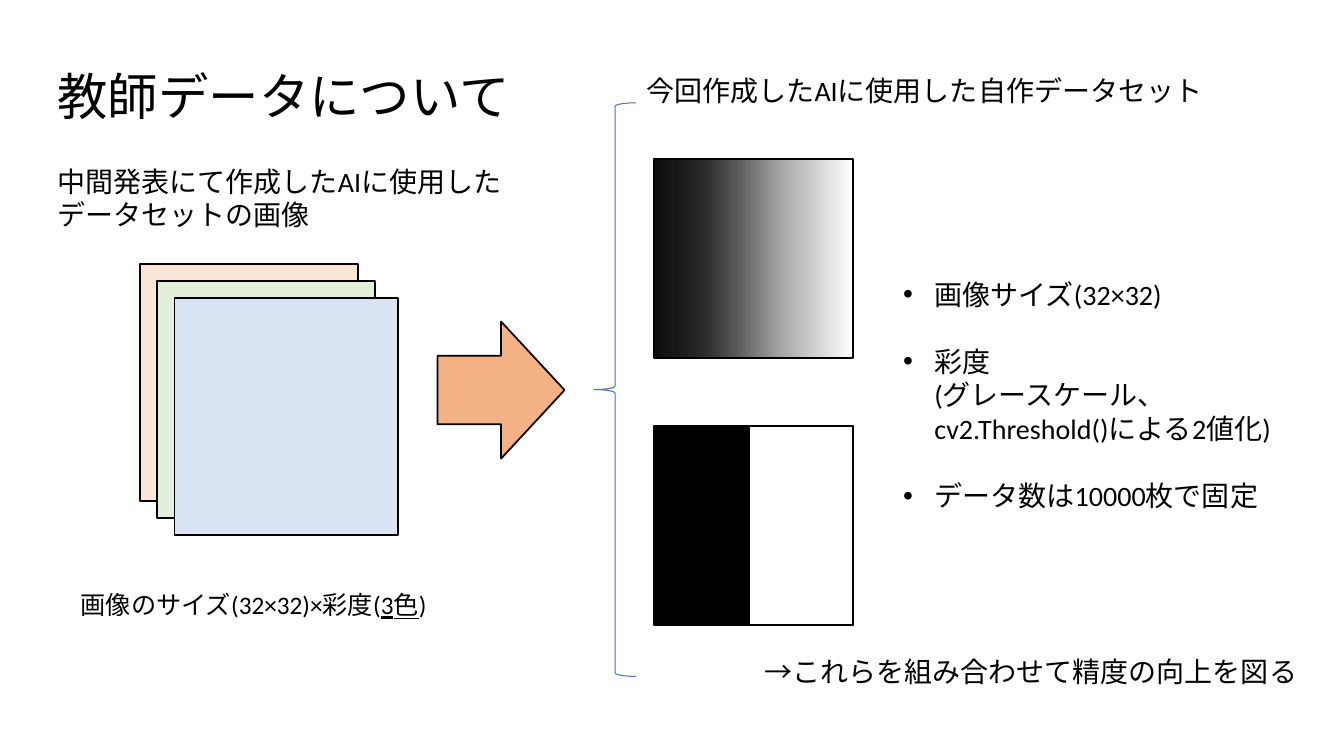
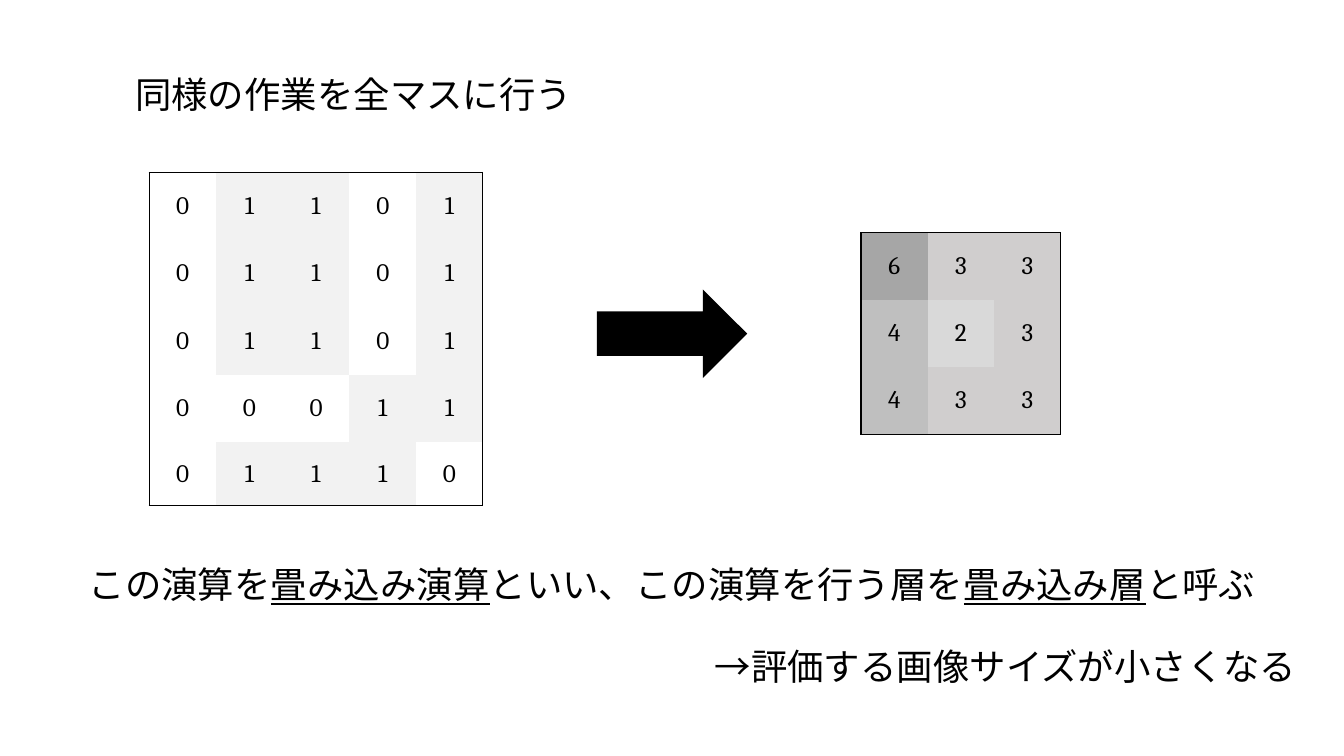
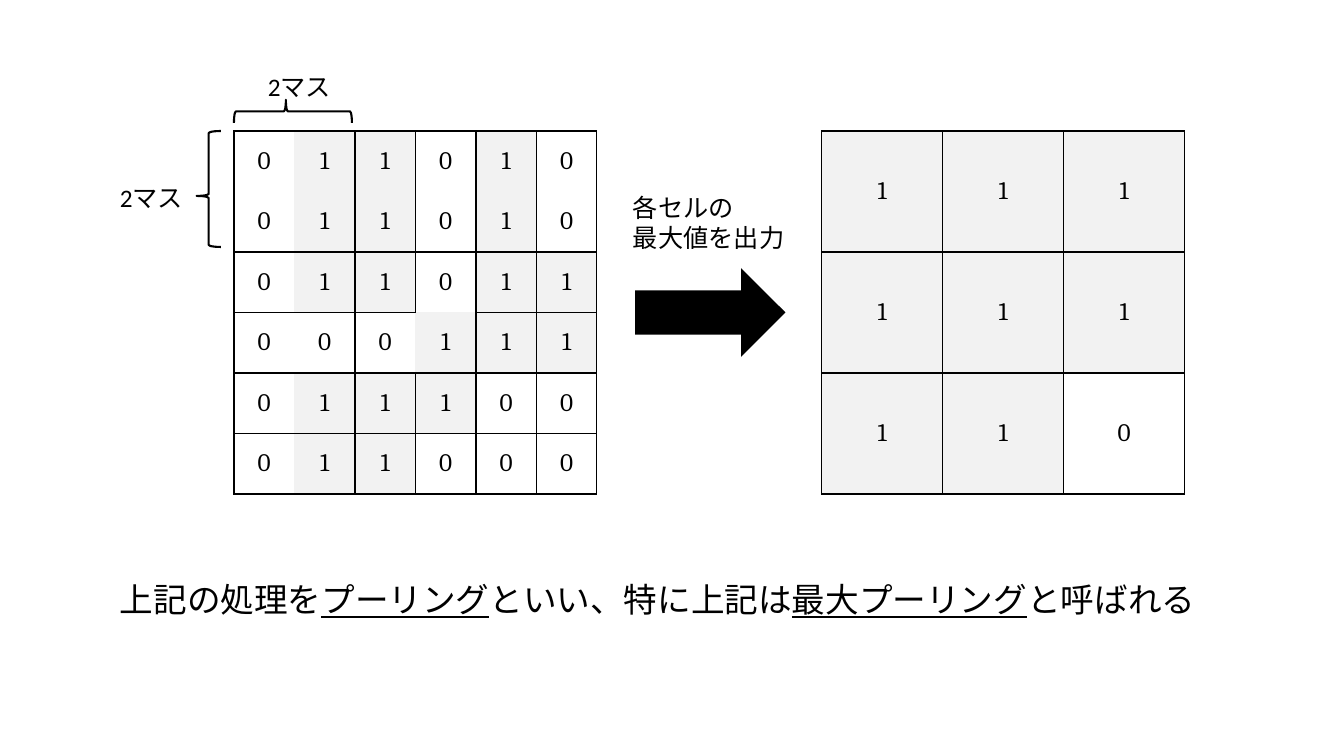
from lxml import etree
from pptx import Presentation
from pptx.dml.color import RGBColor as RGB
from pptx.enum.lang import MSO_LANGUAGE_ID as Lang
from pptx.enum.shapes import MSO_SHAPE as Form
from pptx.enum.text import MSO_ANCHOR as Anchor, MSO_AUTO_SIZE as Fit, PP_ALIGN as Align
from pptx.oxml.ns import qn
from pptx.util import Inches, Pt

BLACK = RGB(0x00, 0x00, 0x00)
WHITE = RGB(0xFF, 0xFF, 0xFF)
PALE = RGB(0xF2, 0xF2, 0xF2)
PEACH = RGB(0xFB, 0xE5, 0xD6)
GREEN = RGB(0xE2, 0xF0, 0xD9)
SKY = RGB(0xDA, 0xE3, 0xF3)
ORANGE = RGB(0xF4, 0xB1, 0x83)
BLUE = RGB(0x44, 0x72, 0xC4)

# Cell shade by value
BITS = {"0": WHITE, "1": PALE}
SUMS = {"2": RGB(0xD9, 0xD9, 0xD9), "3": RGB(0xD0, 0xCE, 0xCE),
        "4": RGB(0xBF, 0xBF, 0xBF), "6": RGB(0xA6, 0xA6, 0xA6)}
# Gradient stops: percent and grey level
FADE = [(0, "FF"), (35, "AA"), (60, "55"), (75, "2B"), (90, "16"), (100, "0D")]


class Deck:
    """Holds the shared style and the current slide."""

    def __init__(self):
        self.prs = Presentation()
        self.prs.slide_width = Inches(13.33)
        self.prs.slide_height = Inches(7.5)
        self.page = None

    def new(self, title=None, at=None, size=None):
        """Start a slide, with a title where one is given."""
        layout = self.prs.slide_layouts[5 if title else 6]
        self.page = self.prs.slides.add_slide(layout)
        if title:
            head = self.page.shapes.title
            self.place(head, at)
            self.words(head.text_frame, [title], size)

    def place(self, item, at):
        for name, val in zip(("left", "top", "width", "height"), at):
            setattr(item, name, Inches(val))

    def style(self, font, size, face="Calibri", under=False):
        form = {"name": face, "size": Pt(size), "bold": False,
                "underline": under, "language_id": Lang.JAPANESE}
        for name, val in form.items():
            setattr(font, name, val)
        font.color.rgb = BLACK

    def words(self, frame, lines, size, align=Align.LEFT, bullet=False):
        """Fill a frame; text between underscores is underlined."""
        frame.word_wrap = True
        frame.auto_size = Fit.NONE
        frame.vertical_anchor = Anchor.TOP
        for i, line in enumerate(lines):
            para = frame.add_paragraph() if i else frame.paragraphs[0]
            para.alignment = align
            if bullet:
                para.space_before = Pt(24 if i else 0)
                props = para._p.get_or_add_pPr()
                props.set("marL", str(Inches(0.31)))
                props.set("indent", str(-Inches(0.31)))
                etree.SubElement(props, qn("a:buFont")).set("typeface", "Arial")
                etree.SubElement(props, qn("a:buChar")).set("char", "•")
            for k, part in enumerate(line.split("_")):
                for j, bit in enumerate(part.split("\n")):
                    if j:
                        para.add_line_break()
                    run = para.add_run()
                    run.text = bit
                    self.style(run.font, size, under=k % 2 == 1)

    def text(self, at, lines, size, **kw):
        box = self.page.shapes.add_textbox(*map(Inches, at))
        self.words(box.text_frame, lines, size, **kw)

    def shape(self, form, at, fill=None, line=BLACK, width=1.25):
        item = self.page.shapes.add_shape(form, *map(Inches, at))
        item.shadow.inherit = False
        if fill is None:
            item.fill.background()
        else:
            item.fill.solid()
            item.fill.fore_color.rgb = fill
        if line is None:
            item.line.fill.background()
        else:
            item.line.color.rgb = line
            item.line.width = Pt(width)
        return item

    def fade(self, item, stops):
        """Grey gradient running from right to left."""
        item.fill.gradient()
        item.fill.gradient_angle = 180
        group = item._element.spPr.find(".//" + qn("a:gsLst"))
        for old in list(group):
            group.remove(old)
        for pos, grey in stops:
            stop = etree.SubElement(group, qn("a:gs"))
            stop.set("pos", str(pos * 1000))
            etree.SubElement(stop, qn("a:srgbClr")).set("val", grey * 3)

    def edge(self, cell, side, shown):
        line = etree.SubElement(cell._tc.get_or_add_tcPr(), qn("a:ln" + side))
        line.set("w", str(Pt(1) if shown else 0))
        fill = etree.SubElement(line, qn("a:solidFill" if shown else "a:noFill"))
        if shown:
            etree.SubElement(fill, qn("a:srgbClr")).set("val", str(BLACK))

    def grid(self, at, rows, shades, inner):
        """Square table; inner(kind, row, col) tells if an inside line shows."""
        n = len(rows)
        table = self.page.shapes.add_table(n, n, *map(Inches, at)).table
        table.first_row = table.horz_banding = False
        for r, row in enumerate(rows):
            for c, val in enumerate(row):
                cell = table.cell(r, c)
                sides = {"L": ("v", r, c), "R": ("v", r, c + 1),
                         "T": ("h", r, c), "B": ("h", r + 1, c)}
                for side, (kind, y, x) in sides.items():
                    outer = (x if kind == "v" else y) in (0, n)
                    self.edge(cell, side, outer or inner(kind, y, x))
                cell.fill.solid()
                cell.fill.fore_color.rgb = shades[val]
                cell.vertical_anchor = Anchor.MIDDLE
                para = cell.text_frame.paragraphs[0]
                para.alignment = Align.CENTER
                run = para.add_run()
                run.text = val
                self.style(run.font, 18, "Cambria")
        return table


def data(deck):
    """Training data."""
    deck.new("教師データについて", (0.47, 0.6, 5.14, 0.71), 36)

    # Colour layers on the left
    for i, (fill, wide) in enumerate([(PEACH, 2.16), (GREEN, 2.16), (SKY, 2.22)]):
        step = 0.17 * i
        deck.shape(Form.RECTANGLE, (1.39 + step, 2.62 + step, wide, 2.35), fill)
    deck.text((0.47, 1.58, 4.69, 0.77),
              ["中間発表にて作成したAIに使用したデータセットの画像"], 20)
    deck.text((0.17, 5.8, 4.69, 0.4), ["画像のサイズ(32×32)×彩度(_3色_)"], 18,
              align=Align.CENTER)
    deck.shape(Form.RIGHT_ARROW, (4.34, 3.19, 1.26, 1.36), ORANGE)

    # Grey and two-level samples
    sample = deck.shape(Form.RECTANGLE, (6.49, 1.58, 1.97, 1.97), WHITE)
    deck.fade(sample, FADE)
    halves = [deck.shape(Form.RECTANGLE, (x, 4.23, wide, 1.97), fill)
              for x, wide, fill in [(6.49, 1.97, BLACK), (7.43, 1.03, WHITE)]]
    deck.page.shapes.add_group_shape(halves)
    deck.shape(Form.LEFT_BRACE, (5.89, 1.02, 0.42, 5.69), line=BLUE, width=0.75)

    # Notes on the new set
    deck.text((6.31, 0.68, 6.65, 0.44), ["今回作成したAIに使用した自作データセット"], 20)
    deck.text((8.86, 2.7, 4.47, 3.1),
              ["画像サイズ(32×32)",
               "彩度\n(グレースケール、\ncv2.Threshold()による2値化)",
               "データ数は10000枚で固定"], 20, bullet=True)
    deck.text((7.48, 6.44, 5.85, 0.44), ["→これらを組み合わせて精度の向上を図る"], 20)


def fold(deck):
    """Convolution."""
    deck.new("同様の作業を全マスに行う", (1.24, 0.67, 5, 0.54), 26)

    def plain(*spot):
        return False

    table = deck.grid((1.48, 1.71, 3.31, 3.31),
                      ["01101", "01101", "01101", "00011", "01110"], BITS, plain)
    for r, row in enumerate(table.rows):
        row.height = Inches(0.67 if r < 4 else 0.63)
    deck.shape(Form.RIGHT_ARROW, (5.92, 2.87, 1.49, 0.88), BLACK, None)
    deck.grid((8.54, 2.31, 1.98, 2), ["633", "423", "433"], SUMS, plain)

    deck.text((0.52, 5.53, 12.29, 0.54),
              ["この演算を_畳み込み演算_といい、この演算を行う層を_畳み込み層_と呼ぶ"],
              26, align=Align.CENTER)
    deck.text((6.99, 6.34, 6.34, 0.54), ["→評価する画像サイズが小さくなる"], 26)


def pool(deck):
    """Max pooling."""
    deck.new()

    def ruled(kind, r, c):
        if kind == "v":
            return c != 1 and (r, c) != (3, 3)
        return r != 1 and (r, c) != (3, 3)

    deck.grid((2.32, 1.3, 3.6, 3.6),
              ["011010", "011010", "011011", "000111", "011100", "011000"],
              BITS, ruled)
    deck.shape(Form.RIGHT_ARROW, (6.3, 2.66, 1.49, 0.88), BLACK, None)
    deck.grid((8.15, 1.3, 3.6, 3.6), ["111", "111", "110"], BITS,
              lambda *spot: True)

    # Braces with their labels
    for at, turn, spot in [((1.95, 1.3, 0.24, 1.15), 0, (1.09, 1.76)),
                           ((2.79, 0.52, 0.23, 1.17), 90, (2.56, 0.66))]:
        brace = deck.shape(Form.LEFT_BRACE, at, width=1.5)
        brace.adjustments[1] = 0.56
        brace.rotation = turn
        deck.text((*spot, 1.17, 0.4), ["2マス"], 18)

    deck.text((6.18, 1.86, 1.97, 0.71), ["各セルの", "最大値を出力"], 18)
    deck.text((1.09, 5.69, 10.97, 0.5),
              ["上記の処理を_プーリング_といい、特に上記は_最大プーリング_と呼ばれる"], 24)


def main():
    deck = Deck()
    for draw in (data, fold, pool):
        draw(deck)
    deck.prs.save("out.pptx")


if __name__ == "__main__":
    main()
